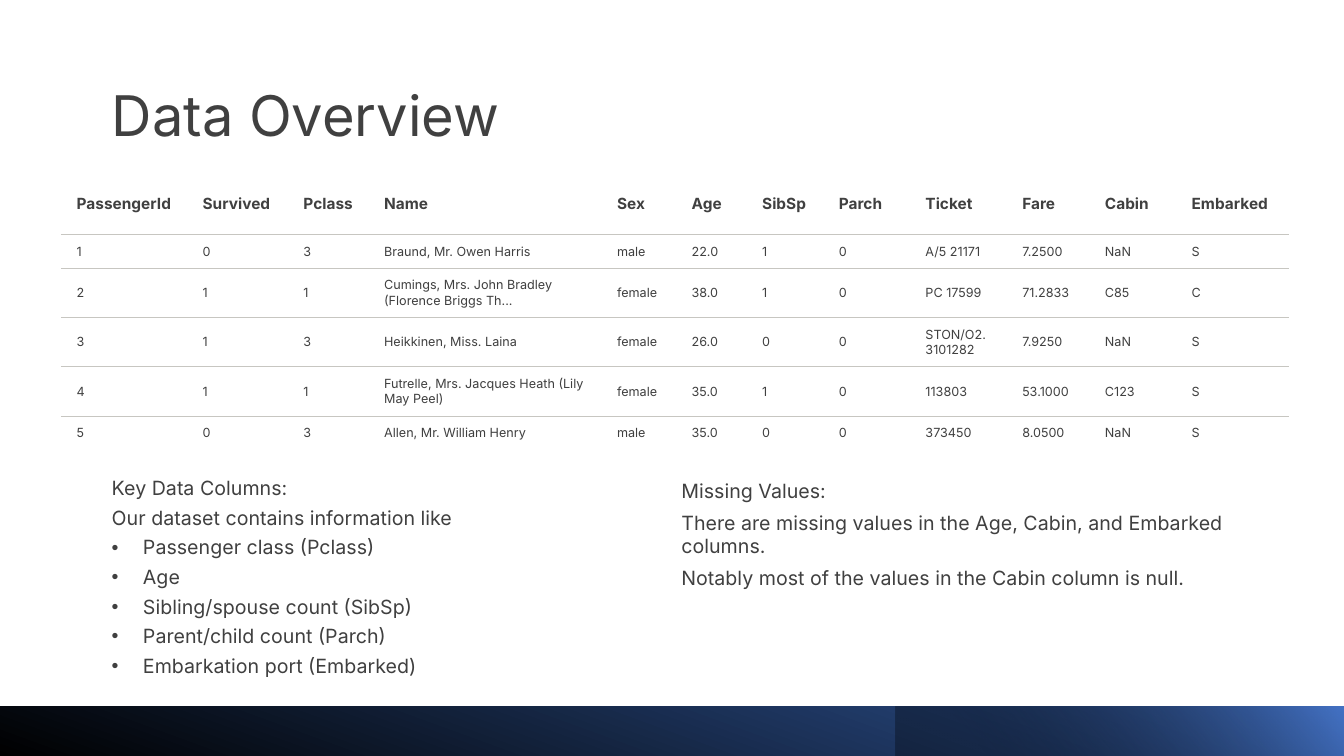
from dataclasses import dataclass

from lxml.etree import SubElement
from pptx import Presentation
from pptx.dml.color import RGBColor
from pptx.enum.shapes import MSO_SHAPE
from pptx.enum.text import MSO_ANCHOR
from pptx.oxml.ns import qn
from pptx.slide import Slide
from pptx.table import _Cell as Cell
from pptx.text.text import _Paragraph as Paragraph
from pptx.util import Inches, Pt

FONT = "Inter"
DARK = RGBColor(0x40, 0x40, 0x40)
RULE = RGBColor(0xC7, 0xC6, 0xC1)
BLACK = RGBColor(0x00, 0x00, 0x00)
NAVY = RGBColor(0x2F, 0x55, 0x97)
BLUE = RGBColor(0x44, 0x72, 0xC4)


@dataclass(frozen=True)
class TextBlock:
    left: float
    top: float
    width: float
    height: float
    lines: tuple[str, ...]
    size: int = 14
    spacing: float = 1.0
    bullets_from: int = 99


@dataclass(frozen=True)
class Band:
    left: float
    width: float
    stops: tuple[tuple[float, RGBColor, int], ...]
    angle: int


BLOCKS = (
    TextBlock(1.01, 0.83, 5.49, 0.84, ("Data Overview",), size=40, spacing=0.9),
    TextBlock(1.01, 4.7, 5.49, 2.11, (
        "Key Data Columns:",
        "Our dataset contains information like",
        "Passenger class (Pclass)",
        "Age",
        "Sibling/spouse count (SibSp)",
        "Parent/child count (Parch)",
        "Embarkation port (Embarked)",
    ), spacing=0.9, bullets_from=2),
    TextBlock(6.66, 4.7, 5.67, 1.21, (
        "Missing Values:",
        "There are missing values in the Age, Cabin, and Embarked columns.",
        "Notably most of the values in the Cabin column is null.",
    )),
)
BANDS = (
    Band(0, 13.33, ((0, BLACK, 100), (1, NAVY, 100)), 110),
    Band(8.88, 4.46, ((0.19, BLACK, 31), (0.99, BLUE, 100)), 140),
)
COLUMN_WIDTHS = (1.25, 1, 0.8, 2.31, 0.74, 0.7, 0.76, 0.86, 0.96, 0.82, 0.86, 1.11)
ROW_HEIGHTS = (0.61, 0.33, 0.49, 0.49, 0.49, 0.33)
PASSENGERS = (
    ("PassengerId", "Survived", "Pclass", "Name", "Sex", "Age",
     "SibSp", "Parch", "Ticket", "Fare", "Cabin", "Embarked"),
    ("1", "0", "3", "Braund, Mr. Owen Harris", "male", "22.0",
     "1", "0", "A/5 21171", "7.2500", "NaN", "S"),
    ("2", "1", "1", "Cumings, Mrs. John Bradley (Florence Briggs Th...", "female", "38.0",
     "1", "0", "PC 17599", "71.2833", "C85", "C"),
    ("3", "1", "3", "Heikkinen, Miss. Laina", "female", "26.0",
     "0", "0", "STON/O2. 3101282", "7.9250", "NaN", "S"),
    ("4", "1", "1", "Futrelle, Mrs. Jacques Heath (Lily May Peel)", "female", "35.0",
     "1", "0", "113803", "53.1000", "C123", "S"),
    ("5", "0", "3", "Allen, Mr. William Henry", "male", "35.0",
     "0", "0", "373450", "8.0500", "NaN", "S"),
)


def style_runs(p: Paragraph, size: int, bold: bool = False) -> None:
    """Apply the slide font to every run of a paragraph."""
    for r in p.runs:
        r.font.name = FONT
        r.font.size = Pt(size)
        r.font.bold = bold
        r.font.color.rgb = DARK


def add_bullet(p: Paragraph) -> None:
    """Give a paragraph a round bullet with a hanging indent."""
    pPr = p._p.get_or_add_pPr()
    pPr.set("marL", str(Inches(0.31)))
    pPr.set("indent", str(Inches(-0.31)))
    SubElement(pPr, qn("a:buFont"), typeface="Arial")
    SubElement(pPr, qn("a:buChar"), char="•")


def add_text(s: Slide, block: TextBlock) -> None:
    """Draw a text block with one paragraph per line."""
    box = s.shapes.add_textbox(Inches(block.left), Inches(block.top),
                               Inches(block.width), Inches(block.height))
    tf = box.text_frame
    tf.word_wrap = True
    tf.text = "\n".join(block.lines)
    for i, p in enumerate(tf.paragraphs):
        p.line_spacing = block.spacing
        p.space_after = Pt(6)
        style_runs(p, block.size)
        if i >= block.bullets_from:
            add_bullet(p)


def add_band(s: Slide, band: Band) -> None:
    """Draw a mirrored gradient band along the bottom edge."""
    sp = s.shapes.add_shape(MSO_SHAPE.RECTANGLE, Inches(band.left), Inches(7.01),
                            Inches(band.width), Inches(0.51))
    sp.shadow.inherit = False
    sp.line.fill.background()
    sp.element.spPr.find(qn("a:xfrm")).set("flipH", "1")
    sp.fill.gradient()
    sp.fill.gradient_angle = band.angle
    for stop, (position, color, _) in zip(sp.fill.gradient_stops, band.stops):
        stop.position = position
        stop.color.rgb = color
    colors = sp.element.spPr.iter(qn("a:srgbClr"))
    for node, (_, _, opacity) in zip(list(colors), band.stops):
        if opacity < 100:
            SubElement(node, qn("a:alpha"), val=str(opacity * 1000))


def add_rule(cell: Cell, side: str) -> None:
    """Draw a thin rule on one side of a table cell."""
    ln = SubElement(cell._tc.get_or_add_tcPr(), qn(f"a:{side}"), w=str(Pt(0.75)))
    fill = SubElement(ln, qn("a:solidFill"))
    SubElement(fill, qn("a:srgbClr"), val=str(RULE))


def add_passenger_table(s: Slide) -> None:
    """Draw the passenger table with rules between its rows."""
    frame = s.shapes.add_table(len(ROW_HEIGHTS), len(COLUMN_WIDTHS), Inches(0.61), Inches(1.72),
                               Inches(sum(COLUMN_WIDTHS)), Inches(sum(ROW_HEIGHTS)))
    table = frame.table
    table.horz_banding = False
    table.first_row = False
    for column, width in zip(table.columns, COLUMN_WIDTHS):
        column.width = Inches(width)
    last = len(ROW_HEIGHTS) - 1
    for i, (row, height) in enumerate(zip(table.rows, ROW_HEIGHTS)):
        row.height = Inches(height)
        for cell, value in zip(row.cells, PASSENGERS[i]):
            cell.text_frame.text = value
            cell.vertical_anchor = MSO_ANCHOR.MIDDLE
            cell.margin_left, cell.margin_right = Inches(0.15), Inches(0.11)
            cell.margin_top = cell.margin_bottom = Inches(0.07)
            style_runs(cell.text_frame.paragraphs[0], 9 if i else 11, bold=i == 0)
            if i > 0:
                add_rule(cell, "lnT")
            if i < last:
                add_rule(cell, "lnB")
            cell.fill.background()


def main() -> None:
    """Build the data overview slide and save it."""
    prs = Presentation()
    prs.slide_width, prs.slide_height = Inches(13.33), Inches(7.5)
    s = prs.slides.add_slide(prs.slide_layouts[6])
    for band in BANDS:
        add_band(s, band)
    for block in BLOCKS:
        add_text(s, block)
    add_passenger_table(s)
    prs.save("out.pptx")


main()
